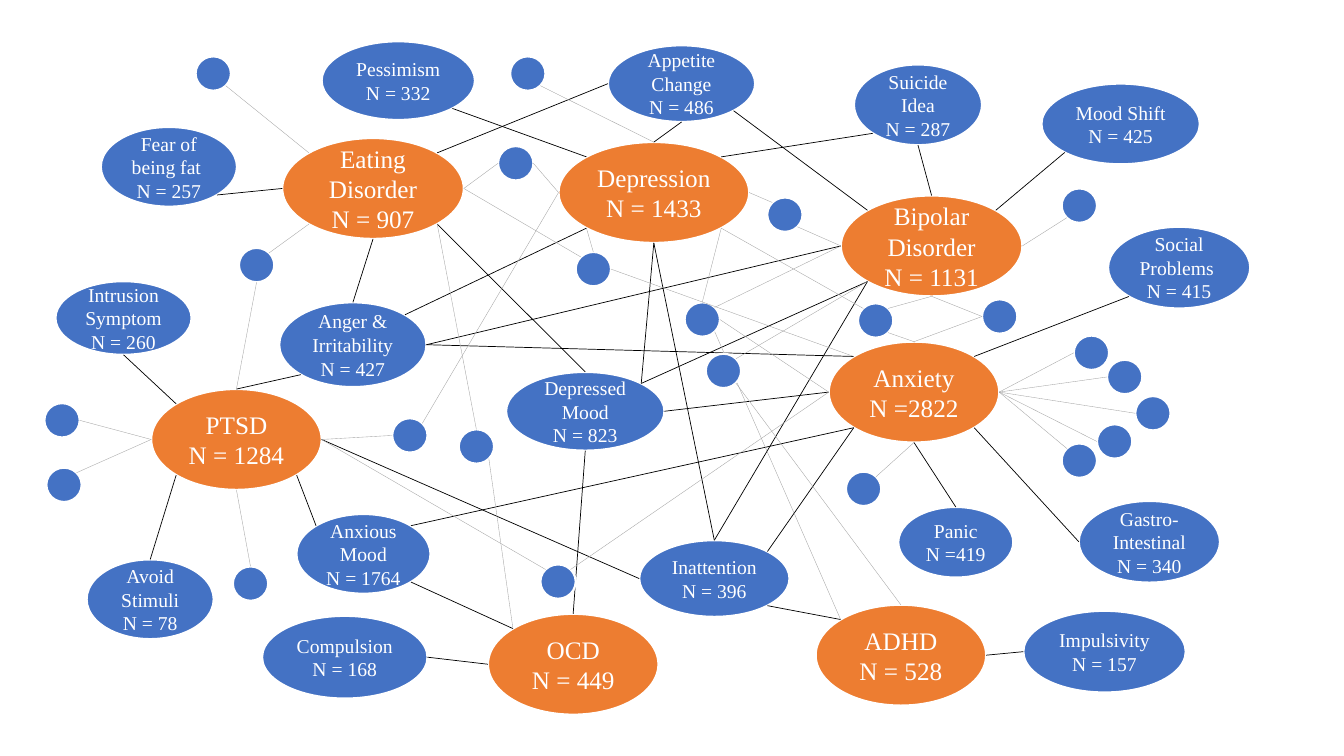
from lxml import etree
from pptx import Presentation
from pptx.dml.color import RGBColor
from pptx.enum.shapes import MSO_CONNECTOR as Link, MSO_SHAPE as Shape
from pptx.enum.text import MSO_ANCHOR as Anchor, PP_ALIGN as Align
from pptx.oxml.ns import qn
from pptx.util import Inches, Pt

DIAG = 0.5 ** 0.5
SITES = {
    "N": (0, -1), "NW": (-DIAG, -DIAG), "W": (-1, 0), "SW": (-DIAG, DIAG),
    "S": (0, 1), "SE": (DIAG, DIAG), "E": (1, 0), "NE": (DIAG, -DIAG),
}
ORDER = list(SITES)

main = {
    "dep": ("Depression\nN = 1433", 5.54, 1.41, 1.89),
    "anx": ("Anxiety\nN =2822", 8.22, 3.39, 1.69),
    "bip": ("Bipolar\nDisorder\nN = 1131", 8.34, 1.94, 1.8),
    "adhd": ("ADHD\nN = 528", 8.09, 6, 1.69),
    "ocd": ("OCD\nN = 449", 4.84, 6.09, 1.69),
    "ptsd": ("PTSD\nN = 1284", 1.5, 3.86, 1.69),
    "eat": ("Eating Disorder\nN = 907", 2.8, 1.37, 1.8),
}

signs = [
    ("Avoid\nStimuli\nN = 78", 0.86, 5.55, 1.26, 0.79, "N ptsd SW"),
    ("Anger &\nIrritability\nN = 427", 2.77, 3, 1.46, 0.84,
     "E anx NW, E bip W, NE dep SW, SW ptsd N, N eat S"),
    ("Anxious\nMood\nN = 1764", 2.94, 5.1, 1.33, 0.79,
     "NW ptsd SE, SE ocd NW, NE anx SW"),
    ("Depressed\nMood\nN = 823", 5.02, 3.69, 1.57, 0.78,
     "N eat SE, S ocd N, NE bip SW, E anx W, NE dep S"),
    ("Impulsivity\nN = 157", 10.15, 6.06, 1.61, 0.81, "W adhd E"),
    ("Mood Shift\nN = 425", 10.33, 0.83, 1.57, 0.8, "SW bip NE"),
    ("Inattention\nN = 396", 6.34, 5.36, 1.49, 0.76,
     "SE adhd NW, NE anx SW, N bip SW, N dep S, W ptsd E"),
    ("Appetite\nChange\nN = 486", 6.03, 0.45, 1.46, 0.76,
     "W eat NE, S dep N, SE bip NW"),
    ("Pessimism\nN = 332", 3.19, 0.41, 1.52, 0.78, "SE dep NW"),
    ("Fear of being fat \nN = 257", 1, 1.26, 1.35, 0.79, "SE eat W"),
    ("Compulsion\nN = 168", 2.6, 6.11, 1.64, 0.82, "E ocd W"),
    ("Social\nProblems \nN = 415", 10.99, 2.25, 1.41, 0.81, "SW anx NE"),
    ("Gastro-\nIntestinal\nN = 340", 10.7, 4.97, 1.4, 0.81, "W anx SE"),
    ("Suicide Idea\nN = 287", 8.47, 0.64, 1.27, 0.8, "SW dep NE, S bip N"),
    ("Intrusion\nSymptom\nN = 260", 0.55, 2.79, 1.35, 0.73, "S ptsd NW"),
    ("Panic\nN =419", 8.91, 5.03, 1.14, 0.7, "N anx S"),
]

dots = [
    (6.79, 3, "SE adhd NW, E anx W, NE bip W, N dep SE"),
    (7, 3.51, "SE adhd N, NE bip SW"),
    (5.36, 5.6, "NW ptsd E, NE anx W"),
    (10.65, 3.33, "W anx E"),
    (10.98, 3.57, "W anx E"),
    (10.88, 4.21, "W anx E"),
    (10.53, 4.4, "NW anx E"),
    (0.46, 4.64, "NE ptsd W"),
    (0.44, 4, "E ptsd W"),
    (5.06, 0.56, "SE dep N"),
    (10.53, 1.87, "SW bip E"),
    (4.55, 4.26, "N eat SE, SE ocd NW"),
    (2.37, 2.46, "NE eat SW, S ptsd N"),
    (1.94, 0.56, "SE eat NW"),
    (7.61, 1.96, "NW dep E, SE bip W"),
    (5.71, 2.5, "NW eat E, E anx NW, N dep SW"),
    (11.26, 3.93, "W anx E"),
    (8.51, 3.01, "NW dep SE, NE bip S, SE anx N"),
    (8.39, 4.68, "NE anx S"),
    (3.89, 4.15, "W ptsd E, NE dep W"),
    (2.31, 5.62, "N ptsd S"),
    (4.94, 1.45, "W eat E, E dep W"),
    (9.74, 2.97, "W bip S, W anx N"),
]

deck = Presentation()
deck.slide_width, deck.slide_height = Inches(13.33), Inches(7.5)
slide = deck.slides.add_slide(deck.slide_layouts[6])
color = RGBColor.from_string


def oval(text, x, y, w, h, fill, size):
    node = slide.shapes.add_shape(
        Shape.OVAL, Inches(x), Inches(y), Inches(w), Inches(h))
    node.shadow.inherit = False
    node.fill.solid()
    node.fill.fore_color.rgb = color(fill)
    node.line.color.rgb = color("FFFFFF")
    node.line.width = Pt(1.5)
    frame = node.text_frame
    frame.text = text
    frame.word_wrap = True
    frame.margin_left = frame.margin_right = Inches(0.08)
    frame.vertical_anchor = Anchor.MIDDLE
    for para in frame.paragraphs:
        para.alignment = Align.CENTER
        for run in para.runs:
            run.font.name = "Times New Roman"
            run.font.size = Pt(size)
            run.font.color.rgb = color("FFFFFF")
    return node


def join(node, links, ink, width):
    for link in links.split(", "):
        start, key, end = link.split()
        ends = [("a:stCxn", node, start), ("a:endCxn", hubs[key], end)]
        spots = []
        for _, item, site in ends:
            dx, dy = SITES[site]
            spots += [int(item.left + item.width * (1 + dx) / 2),
                      int(item.top + item.height * (1 + dy) / 2)]
        line = slide.shapes.add_connector(Link.STRAIGHT, *spots)
        line.line.color.rgb = color(ink)
        line.line.width = Pt(width)
        etree.SubElement(line._element.spPr, qn("a:effectLst"))
        glue = line._element.nvCxnSpPr.cNvCxnSpPr
        for tag, item, site in ends:
            etree.SubElement(glue, qn(tag), id=str(item.shape_id),
                             idx=str(ORDER.index(site)))


hubs = {}
for key, (text, x, y, w) in main.items():
    hubs[key] = oval(text, x, y, w, 1, "ED7D31", 18)

for text, x, y, w, h, links in signs:
    join(oval(text, x, y, w, h, "4472C4", 14), links, "000000", 0.5)

for x, y, links in dots:
    join(oval("", x, y, 0.35, 0.34, "4472C4", 14), links, "A5A5A5", 0.25)

deck.save("out.pptx")
